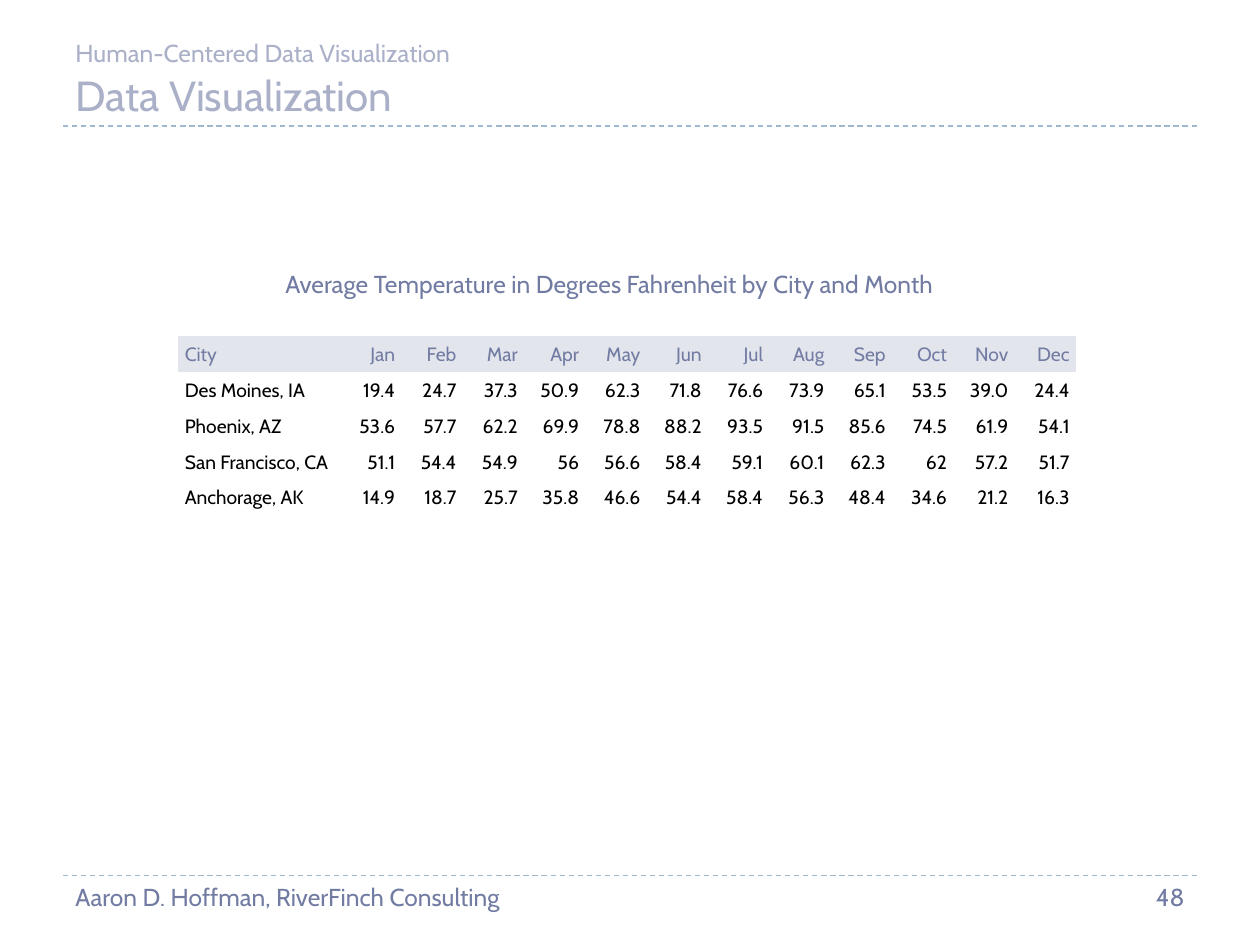
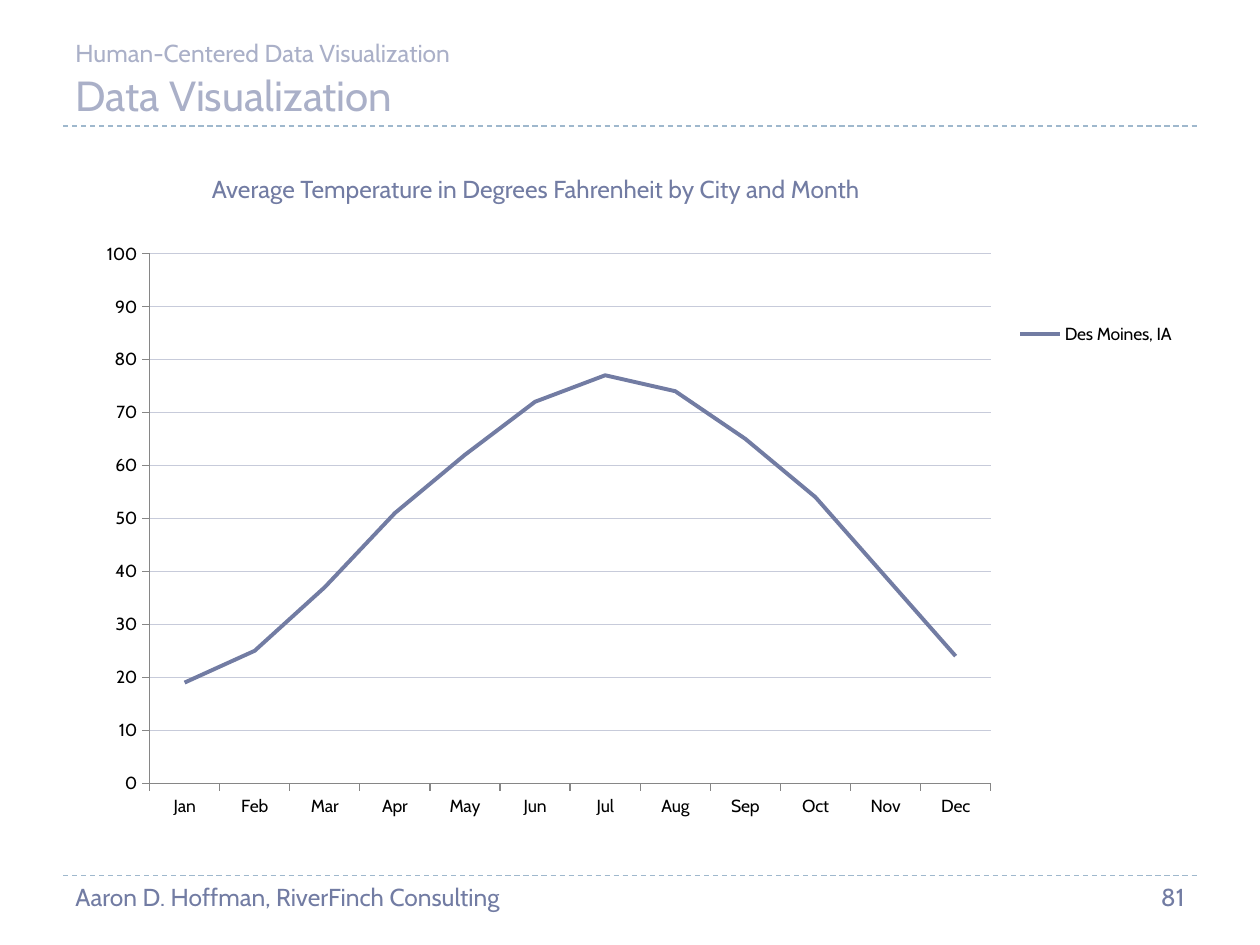
from lxml import etree
from pptx import Presentation
from pptx.chart.data import CategoryChartData
from pptx.dml.color import RGBColor
from pptx.enum.chart import XL_CHART_TYPE as ChartType, XL_LEGEND_POSITION as LegendPosition
from pptx.enum.chart import XL_MARKER_STYLE as Marker, XL_TICK_MARK as TickMark
from pptx.enum.dml import MSO_LINE as Dash
from pptx.enum.shapes import MSO_CONNECTOR as Connector
from pptx.enum.text import MSO_ANCHOR as Anchor, PP_ALIGN as Align
from pptx.oxml.ns import qn
from pptx.util import Pt

COLORS = {
    "accent": "727CA3",
    "heading": "AAB0C8",
    "rule": "9FB8CD",
    "header": "E3E5ED",
    "grid": "C7CBDA",
    "axis": "868686",
    "text": "000000",
    "white": "FFFFFF",
}
FONT = "Cabin"
PLAIN_TABLE = "{2D5ABB26-0587-4C30-8999-92F81FD0307C}"

CAPTION = "Average Temperature in Degrees Fahrenheit by City and Month"
MONTHS = "Jan Feb Mar Apr May Jun Jul Aug Sep Oct Nov Dec".split()
TEMPERATURES = {
    "Des Moines, IA": "19.4 24.7 37.3 50.9 62.3 71.8 76.6 73.9 65.1 53.5 39.0 24.4".split(),
    "Phoenix, AZ": "53.6 57.7 62.2 69.9 78.8 88.2 93.5 91.5 85.6 74.5 61.9 54.1".split(),
    "San Francisco, CA": "51.1 54.4 54.9 56 56.6 58.4 59.1 60.1 62.3 62 57.2 51.7".split(),
    "Anchorage, AK": "14.9 18.7 25.7 35.8 46.6 54.4 58.4 56.3 48.4 34.6 21.2 16.3".split(),
}


def color(name):
    return RGBColor.from_string(COLORS[name])


def set_font(font, size, color_name):
    font.name, font.size = FONT, Pt(size)
    font.color.rgb = color(color_name)


def set_line(line, color_name, width):
    line.color.rgb = color(color_name)
    line.width = Pt(width)


def place(element, before, inner=False, **fractions):
    """Fix a chart part at fractions of the chart area."""
    layout = etree.Element(qn("c:layout"))
    manual = etree.SubElement(layout, qn("c:manualLayout"))
    settings = {"layoutTarget": "inner"} if inner else {}
    settings |= {"xMode": "edge", "yMode": "edge", **fractions}
    for tag, value in settings.items():
        etree.SubElement(manual, qn(f"c:{tag}")).set("val", str(value))
    for old in element.findall(qn("c:layout")):
        element.remove(old)
    element.find(qn(before)).addprevious(layout)


class SlideBuilder:
    def __init__(self):
        self.deck = Presentation()
        self.deck.slide_width, self.deck.slide_height = Pt(720), Pt(540)
        self.page = None

    def new_page(self, number):
        self.page = self.deck.slides.add_slide(self.deck.slide_layouts[6])
        for y in (500.4, 72):
            self.rule(y)
        self.text("Data Visualization", 36, 36, 648, 36, size=24,
                  color_name="heading", anchor=Anchor.BOTTOM)
        self.text("Human-Centered Data Visualization", 36, 18, 648, 18, color_name="heading")
        self.text("Aaron D. Hoffman, RiverFinch Consulting", 36, 500.4, 456, 28.8)
        self.text(str(number), 630, 500.4, 54, 28.8, align=Align.RIGHT)

    def rule(self, y):
        line = self.page.shapes.add_connector(Connector.STRAIGHT, Pt(36), Pt(y), Pt(684), Pt(y))
        set_line(line.line, "rule", 0.75)
        line.line.dash_style = Dash.DASH
        etree.SubElement(line._element.spPr, qn("a:effectLst"))

    def text(self, words, left, top, width, height, size=14, color_name="accent",
             align=Align.LEFT, anchor=Anchor.TOP):
        box = self.page.shapes.add_textbox(Pt(left), Pt(top), Pt(width), Pt(height))
        frame = box.text_frame
        frame.word_wrap = True
        frame.vertical_anchor = anchor
        para = frame.paragraphs[0]
        para.text, para.alignment = words, align
        set_font(para.font, size, color_name)

    def table(self, rows, left, top, widths, row_height):
        frame = self.page.shapes.add_table(len(rows), len(widths), Pt(left), Pt(top),
                                           Pt(sum(widths)), Pt(row_height * len(rows)))
        table = frame.table
        table._tbl.tblPr.find(qn("a:tableStyleId")).text = PLAIN_TABLE
        table.first_row = table.horz_banding = False
        for column, width in zip(table.columns, widths):
            column.width = Pt(width)
        for r, row in enumerate(rows):
            table.rows[r].height = Pt(row_height)
            for c, words in enumerate(row):
                self.cell(table.cell(r, c), words, is_header=r == 0, is_label=c == 0)

    def cell(self, cell, words, is_header, is_label):
        cell.fill.solid()
        cell.fill.fore_color.rgb = color("header" if is_header else "white")
        cell.margin_left = cell.margin_right = cell.margin_top = cell.margin_bottom = Pt(3.6)
        cell.vertical_anchor = Anchor.MIDDLE
        para = cell.text_frame.paragraphs[0]
        para.text = words
        para.alignment = Align.LEFT if is_label else Align.RIGHT
        set_font(para.font, 11, "accent" if is_header else "text")

    def line_chart(self, city, left, top, width, height):
        data = CategoryChartData(number_format="0")
        data.categories = MONTHS
        data.add_series(city, [round(float(value)) for value in TEMPERATURES[city]])
        chart = self.page.shapes.add_chart(ChartType.LINE, Pt(left), Pt(top),
                                           Pt(width), Pt(height), data).chart
        set_font(chart.font, 10, "text")
        chart.has_title = False
        chart.plots[0].vary_by_categories = False
        series = chart.plots[0].series[0]
        series.smooth = False
        series.marker.style = Marker.NONE
        set_line(series.format.line, "accent", 2.25)

        for axis in (chart.category_axis, chart.value_axis):
            axis.major_tick_mark, axis.minor_tick_mark = TickMark.OUTSIDE, TickMark.NONE
            set_line(axis.format.line, "axis", 0.75)
        values = chart.value_axis
        values.minimum_scale, values.maximum_scale, values.major_unit = 0, 100, 10
        values.tick_labels.number_format = "0"
        values.tick_labels.number_format_is_linked = False
        set_line(values.major_gridlines.format.line, "grid", 0.75)

        chart.has_legend = True
        chart.legend.position = LegendPosition.RIGHT
        chart.legend.include_in_layout = False
        place(chart.legend._element, "c:overlay", x=0.84, y=0.15, w=0.15, h=0.05)
        plot_area = chart._chartSpace.chart.plotArea
        place(plot_area, "c:lineChart", inner=True, x=0.06, y=0.04, w=0.76, h=0.89)


def main():
    builder = SlideBuilder()

    builder.new_page(48)
    rows = [["City", *MONTHS]] + [[city, *values] for city, values in TEMPERATURES.items()]
    builder.table(rows, 102, 192.25, [92.4] + [35.06] * len(MONTHS), 20.5)
    builder.text(CAPTION, 156, 150, 407.5, 24.5)

    builder.new_page(81)
    builder.line_chart("Des Moines, IA", 47.5, 131.25, 632.5, 340.25)
    builder.text(CAPTION, 114, 96, 407.5, 24.5)

    builder.deck.save("out.pptx")


if __name__ == "__main__":
    main()
